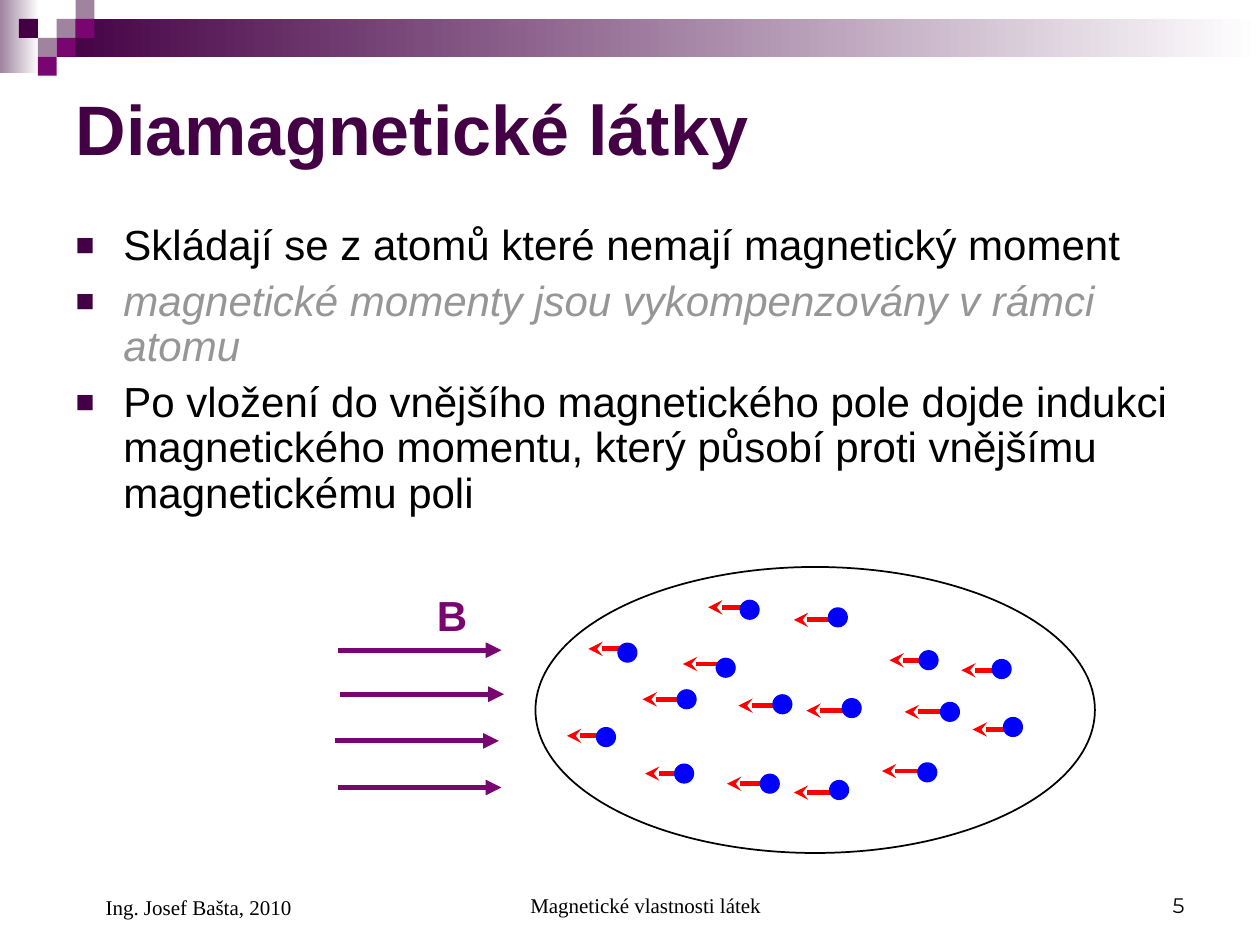
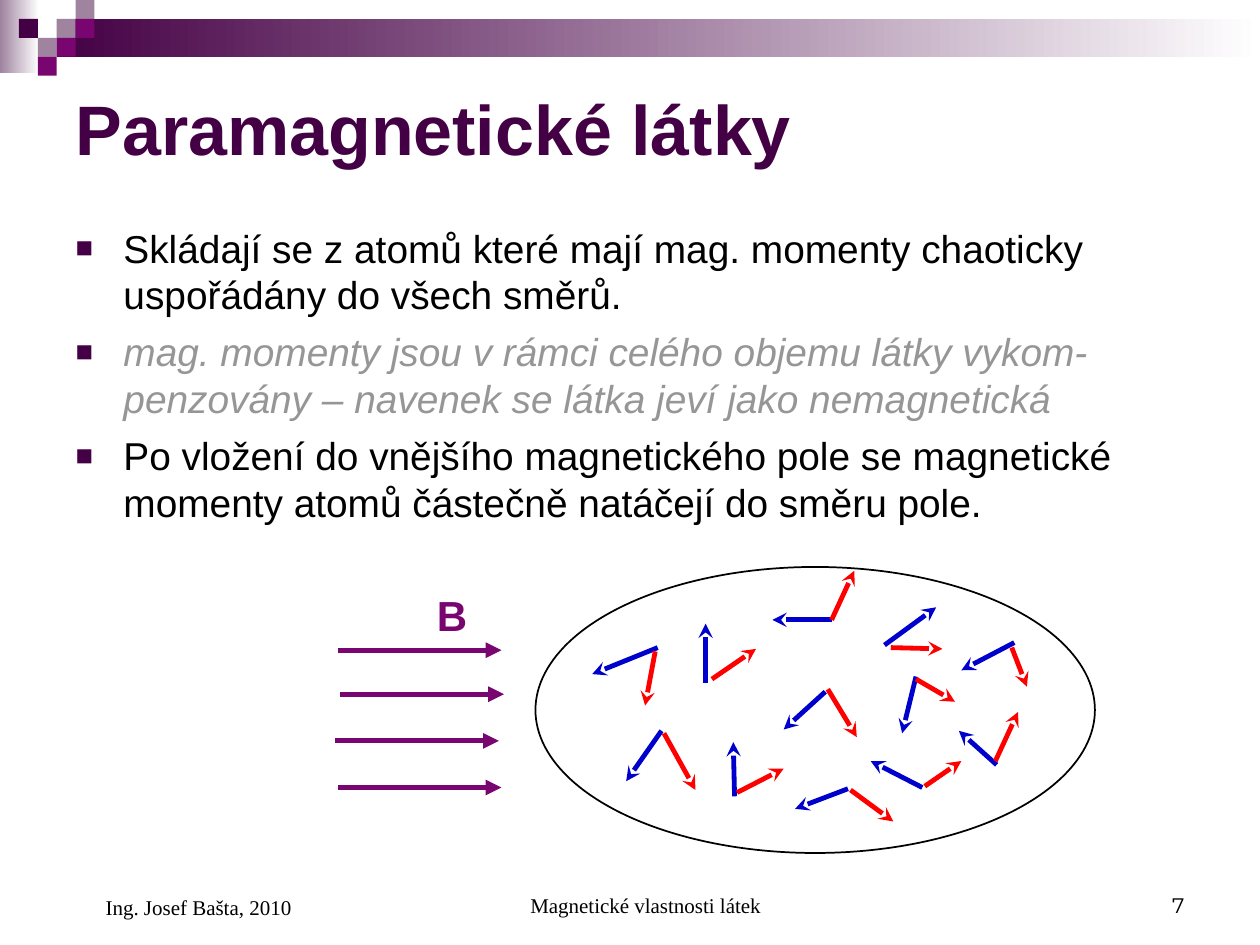
from lxml import etree
from pptx import Presentation
from pptx.dml.color import RGBColor
from pptx.enum.shapes import MSO_CONNECTOR, MSO_SHAPE
from pptx.enum.text import MSO_ANCHOR, MSO_AUTO_SIZE, PP_ALIGN
from pptx.oxml.ns import qn
from pptx.util import Inches, Pt

RECT, OVAL = MSO_SHAPE.RECTANGLE, MSO_SHAPE.OVAL
STRAIGHT = MSO_CONNECTOR.STRAIGHT
LEFT, CENTER, RIGHT = PP_ALIGN.LEFT, PP_ALIGN.CENTER, PP_ALIGN.RIGHT
TOP, MIDDLE, BOTTOM = MSO_ANCHOR.TOP, MSO_ANCHOR.MIDDLE, MSO_ANCHOR.BOTTOM
NO_FIT = MSO_AUTO_SIZE.NONE

COLORS = {
    "white": "FFFFFF", "black": "000000", "grey": "969696",
    "plum": "440044", "violet": "790571", "mauve": "9F839F",
    "red": "FF0000", "atom": "0000FF", "blue": "0000CC",
}
SANS, SERIF, NUMBER_FONT = "Arial", "Times New Roman", "Montserrat"

# Boxes: left, top, width, height in inches
TITLE_BOX = (0.5, 0.5, 9, 1.03)
FIELD_BOX = (2.66, 4.63, 1.34, 1.62)
SAMPLE_BOX = (4.25, 4.5, 4.44, 2.27)
AUTHOR_BOX = (0.5, 6.83, 2.33, 0.52)
TOPIC_BOX = (3.42, 6.83, 3.17, 0.5)
NUMBER_BOX = (7.17, 6.83, 2.33, 0.5)

# Header tiles as (column, row, colour) on a square grid
TILE = 0.15
TILES = [
    (3, 1, "mauve"), (4, 0, "mauve"), (4, 1, "violet"), (2, 2, "mauve"),
    (1, 1, "plum"), (3, 2, "violet"), (2, 3, "violet"),
]

# Field lines: x and y of the start inside the field box
FIELD_LINES = [(0.02, 0.53), (0.04, 0.88), (0, 1.25), (0.02, 1.62)]
FIELD_LENGTH = 1.3

# Induced moments inside the sample: arrow start x, y, then atom left, top
INDUCED_LENGTH, ATOM_SIZE = 0.3, 0.16
INDUCED_MOMENTS = [
    (0.72, 0.65, 0.65, 0.6), (0.55, 1.34, 0.48, 1.27),
    (1.17, 1.64, 1.1, 1.56), (1.15, 1.05, 1.12, 0.97),
    (1.47, 0.77, 1.43, 0.72), (1.67, 0.32, 1.62, 0.26),
    (2.35, 0.42, 2.32, 0.32), (1.91, 1.1, 1.88, 1.01),
    (1.82, 1.72, 1.78, 1.64), (2.35, 1.79, 2.33, 1.69),
    (3.05, 1.62, 3.03, 1.55), (2.45, 1.14, 2.43, 1.04),
    (3.23, 1.15, 3.21, 1.07), (3.11, 0.74, 3.04, 0.66),
    (3.68, 0.82, 3.62, 0.73), (3.77, 1.29, 3.71, 1.19),
]

# Moments before (blue) and after (red) the field acts: start x, y, end x, y
TURNED_MOMENTS = [
    ((0.97, 0.64, 0.45, 0.85), (0.95, 0.67, 0.87, 1.1)),
    ((1, 1.3, 0.72, 1.7), (1.02, 1.32, 1.27, 1.77)),
    ((2.35, 0.42, 1.88, 0.42), (2.35, 0.42, 2.53, 0.03)),
    ((1.35, 0.92, 1.35, 0.45), (1.4, 0.89, 1.75, 0.65)),
    ((1.58, 1.82, 1.57, 1.39), (1.6, 1.79, 1.97, 1.6)),
    ((2.48, 1.76, 2.06, 1.92), (2.5, 1.77, 2.84, 2.02)),
    ((3.07, 1.75, 2.66, 1.54), (3.09, 1.74, 3.38, 1.54)),
    ((2.3, 0.99, 1.97, 1.29), (2.32, 0.97, 2.55, 1.35)),
    ((3.02, 0.87, 2.91, 1.32), (3.02, 0.89, 3.33, 1.07)),
    ((2.77, 0.62, 3.18, 0.32), (2.82, 0.64, 3.23, 0.65)),
    ((3.8, 0.6, 3.38, 0.82), (3.78, 0.64, 3.9, 0.95)),
    ((3.66, 1.57, 3.36, 1.3), (3.65, 1.54, 3.83, 1.15)),
]


def rgb(color):
    return RGBColor.from_string(COLORS[color])


def inches(box):
    return [Inches(value) for value in box]


def set_font(paragraph, size, color, face=SANS, bold=False, italic=False):
    font = paragraph.font
    font.name, font.size = face, Pt(size)
    font.bold, font.italic = bold, italic
    font.color.rgb = rgb(color)


def set_frame(frame, anchor):
    frame.word_wrap = True
    frame.auto_size = NO_FIT
    frame.vertical_anchor = anchor


def add_figure(slide, preset, box, fill=None, outline=None):
    """Add a shape; a pair of colours as fill makes a gradient."""
    figure = slide.shapes.add_shape(preset, *inches(box))
    figure.shadow.inherit = False
    if isinstance(fill, tuple):
        figure.fill.gradient()
        figure.fill.gradient_angle = 180
        for stop, color in zip(figure.fill.gradient_stops, fill):
            stop.color.rgb = rgb(color)
    elif fill:
        figure.fill.solid()
        figure.fill.fore_color.rgb = rgb(fill)
    else:
        figure.fill.background()
    if outline:
        figure.line.color.rgb = rgb(outline)
        figure.line.width = Pt(1)
    else:
        figure.line.fill.background()


def add_arrow(slide, box, ends, color, width=2.75, head="stealth"):
    """Add an arrow whose ends are measured from the corner of the box."""
    left, top = box[:2]
    x1, y1, x2, y2 = ends
    arrow = slide.shapes.add_connector(
        STRAIGHT, *inches((left + x1, top + y1, left + x2, top + y2)))
    arrow.line.color.rgb = rgb(color)
    arrow.line.width = Pt(width)
    etree.SubElement(arrow.get_or_add_ln(), qn("a:tailEnd"), type=head)
    etree.SubElement(arrow._element.spPr, qn("a:effectLst"))


def add_label(slide, box, text, size, color, face, align=LEFT,
              anchor=BOTTOM, indent=0, bold=False):
    frame = slide.shapes.add_textbox(*inches(box)).text_frame
    set_frame(frame, anchor)
    paragraph = frame.paragraphs[0]
    paragraph.text = text
    paragraph.alignment = align
    paragraph._p.get_or_add_pPr().set("marL", str(Inches(indent)))
    set_font(paragraph, size, color, face, bold)


def add_header(slide):
    add_figure(slide, RECT, (0, 0, 0.31, 0.58), ("white", "mauve"))
    add_figure(slide, RECT, (0.45, 0.15, 9.55, 0.3), ("white", "plum"))
    for column, row, color in TILES:
        add_figure(slide, RECT, (column * TILE, row * TILE, TILE, TILE), color)


def add_footer(slide, number):
    add_label(slide, TOPIC_BOX, "Magnetické vlastnosti látek", 12, "black",
              SERIF, CENTER, indent=0.24)
    add_label(slide, NUMBER_BOX, str(number), 12, "black", NUMBER_FONT, RIGHT)
    add_label(slide, AUTHOR_BOX, "Ing. Josef Bašta, 2010", 12, "black",
              SERIF, indent=0.24)


def place(placeholder, box, anchor):
    (placeholder.left, placeholder.top,
     placeholder.width, placeholder.height) = inches(box)
    set_frame(placeholder.text_frame, anchor)


def fill_title(slide, text):
    title = slide.shapes.title
    place(title, TITLE_BOX, MIDDLE)
    paragraph = title.text_frame.paragraphs[0]
    paragraph.text = text
    paragraph.alignment = LEFT
    set_font(paragraph, 40, "plum", bold=True)


def add_bullet(paragraph):
    properties = paragraph._p.get_or_add_pPr()
    properties.set("marL", str(Inches(0.38)))
    properties.set("indent", str(Inches(-0.38)))
    bullet_color = etree.SubElement(properties, qn("a:buClr"))
    etree.SubElement(bullet_color, qn("a:srgbClr"), val=COLORS["plum"])
    etree.SubElement(properties, qn("a:buSzPct"), val="75000")
    etree.SubElement(properties, qn("a:buFont"), typeface=SANS)
    etree.SubElement(properties, qn("a:buChar"), char="■")


def fill_points(slide, points, width, size, spacing):
    """Fill the list; the second point is a grey italic remark."""
    body = slide.placeholders[1]
    place(body, (0.5, 1.73, width, 2.5), TOP)
    frame = body.text_frame
    for index, point in enumerate(points):
        paragraph = frame.add_paragraph() if index else frame.paragraphs[0]
        paragraph.text = point
        paragraph.line_spacing = spacing
        paragraph.space_before = Pt(6 if index else 0)
        add_bullet(paragraph)
        remark = index == 1
        set_font(paragraph, size, "grey" if remark else "black", italic=remark)


def draw_field(slide, box):
    left, top = box[:2]
    for x, y in FIELD_LINES:
        add_arrow(slide, box, (x, y, x + FIELD_LENGTH, y), "violet", 3,
                  "triangle")
    add_label(slide, (left + 0.71, top, 0.6, 0.5), "B", 24, "violet", SANS,
              anchor=TOP, bold=True)


def draw_diamagnet(slide, box):
    left, top = box[:2]
    add_figure(slide, OVAL, box, outline="black")
    for x, y, atom_x, atom_y in INDUCED_MOMENTS:
        add_arrow(slide, box, (x, y, x - INDUCED_LENGTH, y), "red")
        add_figure(slide, OVAL,
                   (left + atom_x, top + atom_y, ATOM_SIZE, ATOM_SIZE), "atom")


def draw_paramagnet(slide, box):
    add_figure(slide, OVAL, box, outline="black")
    for before, after in TURNED_MOMENTS:
        add_arrow(slide, box, before, "blue")
        add_arrow(slide, box, after, "red")


def add_material_slide(deck, number, title, points, draw_sample,
                       width, size, spacing):
    slide = deck.slides.add_slide(deck.slide_layouts[1])
    add_header(slide)
    fill_title(slide, title)
    fill_points(slide, points, width, size, spacing)
    draw_field(slide, FIELD_BOX)
    draw_sample(slide, SAMPLE_BOX)
    add_footer(slide, number)


def main():
    deck = Presentation()
    deck.slide_width, deck.slide_height = Inches(10), Inches(7.5)
    add_material_slide(deck, 5, "Diamagnetické látky", [
        "Skládají se z atomů které nemají magnetický moment",
        "magnetické momenty jsou vykompenzovány v rámci atomu",
        "Po vložení do vnějšího magnetického pole dojde indukci magnetického "
        "momentu, který působí proti vnějšímu magnetickému poli",
    ], draw_diamagnet, width=9.1, size=24, spacing=0.9)
    add_material_slide(deck, 7, "Paramagnetické látky", [
        "Skládají se z atomů které mají mag. momenty chaoticky uspořádány "
        "do všech směrů.",
        "mag. momenty jsou v rámci celého objemu látky vykom-penzovány – "
        "navenek se látka jeví jako nemagnetická",
        "Po vložení do vnějšího magnetického pole se magnetické momenty atomů "
        "částečně natáčejí do směru pole.",
    ], draw_paramagnet, width=9.23, size=22.2, spacing=1.0)
    deck.save("out.pptx")


if __name__ == "__main__":
    main()
